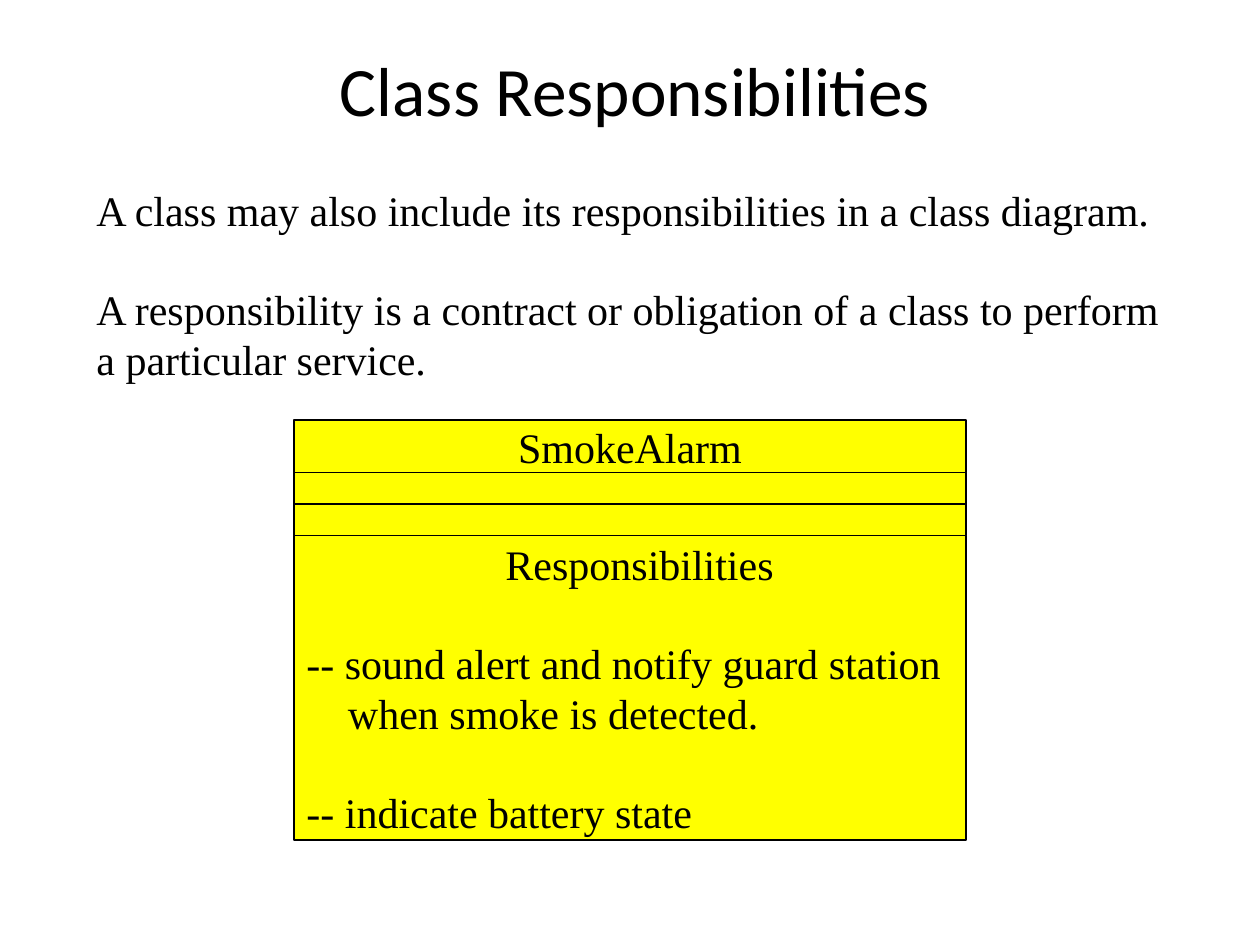
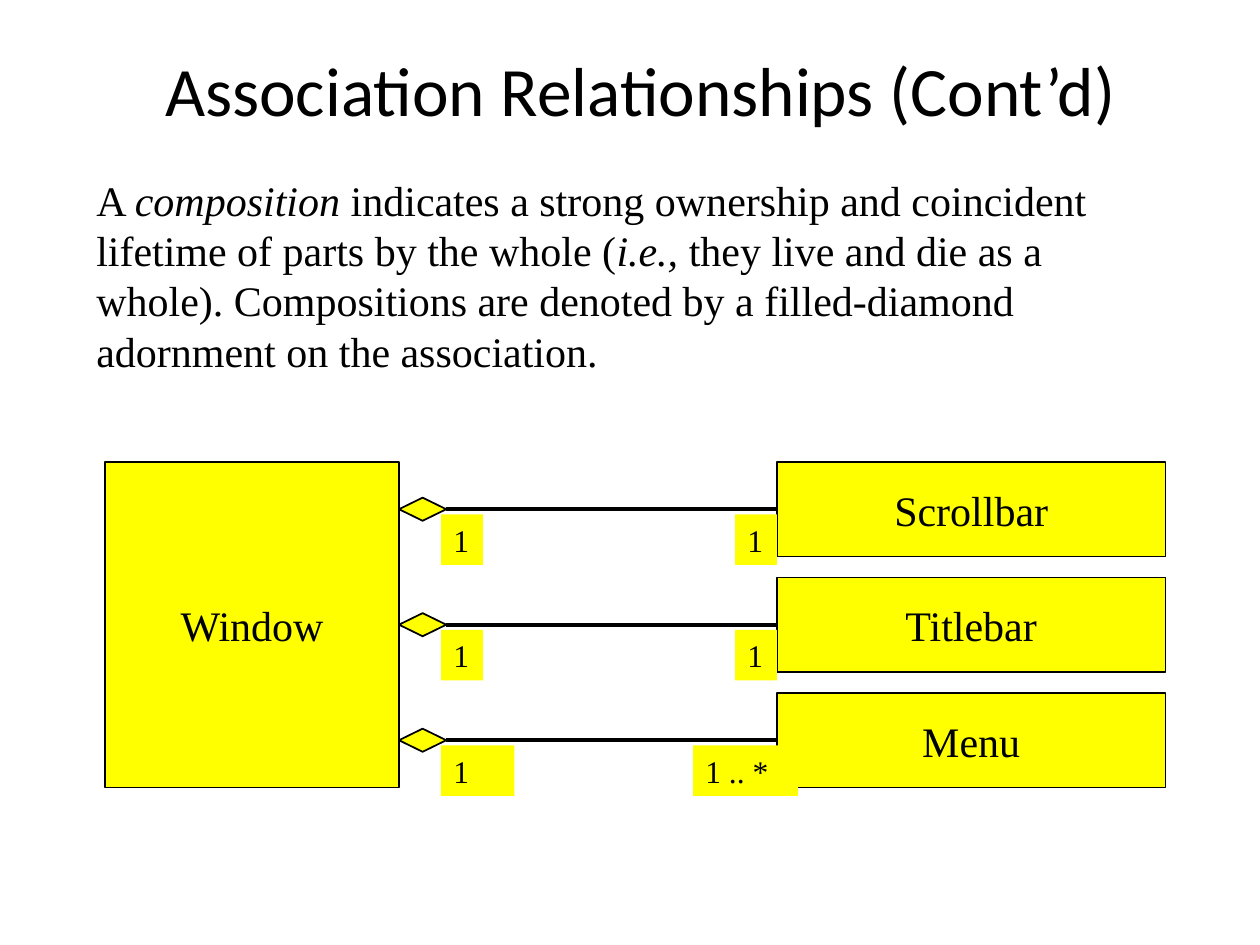
"""Build two class-diagram slides on a grid of twelve cells to the inch."""
from pptx import Presentation
from pptx.dml.color import RGBColor
from pptx.enum.shapes import MSO_CONNECTOR as Connector, MSO_SHAPE as Shape
from pptx.enum.text import MSO_ANCHOR as Anchor, PP_ALIGN as Align
from pptx.util import Inches, Pt
from lxml import etree

CELL = Inches(1) / 12
BLACK, YELLOW, WHITE = "000000", "FFFF00", "FFFFFF"
BODY_FONT, TITLE_FONT = "Times New Roman", "Calibri"
BLANK_LINE = 27.6
DRAWING = "http://schemas.openxmlformats.org/drawingml/2006/main"


def color(hex_string):
    """Turn a hex string into a colour."""
    return RGBColor.from_string(hex_string)


def add_box(slide, place, lines=(), kind=None, outline=0, size=24, font_name=BODY_FONT,
            align=Align.LEFT, anchor=Anchor.TOP):
    """Add text lines of (runs, indent in inches, gap in points), in a yellow shape if kind is given."""
    place = [round(cells * CELL) for cells in place]
    if kind is None:
        shape = slide.shapes.add_textbox(*place)
    else:
        shape = slide.shapes.add_shape(kind, *place)
        shape.shadow.inherit = False
        shape.fill.solid()
        shape.fill.fore_color.rgb = color(YELLOW)
        if outline:
            shape.line.color.rgb = color(BLACK)
            shape.line.width = Pt(outline)
        else:
            shape.line.fill.background()
    frame = shape.text_frame
    frame.word_wrap = True
    frame.vertical_anchor = anchor
    for index, (runs, indent, gap) in enumerate(lines):
        paragraph = frame.add_paragraph() if index else frame.paragraphs[0]
        paragraph.alignment = align
        if gap:
            paragraph.space_before = Pt(gap)
        if indent:
            paragraph._p.get_or_add_pPr().set("marL", str(Inches(indent)))
        for text, italic in runs:
            run = paragraph.add_run()
            run.text = text
            run.font.size = Pt(size)
            run.font.name = font_name
            run.font.italic = italic
            run.font.color.rgb = color(BLACK)
    return shape


presentation = Presentation()
presentation.slide_width, presentation.slide_height = Inches(10), Inches(7.5)
title_style = {"size": 39.6, "font_name": TITLE_FONT, "align": Align.CENTER, "anchor": Anchor.MIDDLE}
class_style = {"kind": Shape.RECTANGLE, "outline": 0.75, "anchor": Anchor.MIDDLE}

slides = []
for title, left, width in [("Class Responsibilities", 9, 103),
                           ("Association Relationships (Cont’d)", 8, 106)]:
    slide = presentation.slides.add_slide(presentation.slide_layouts[6])
    slide.background.fill.solid()
    slide.background.fill.fore_color.rgb = color(WHITE)
    add_box(slide, (left, 5, width, 7), [([(title, False)], 0, 0)], **title_style)
    slides.append(slide)
responsibility_slide, composition_slide = slides

add_box(responsibility_slide, (8, 17, 105, 20.4), [
    ([("A class may also include its responsibilities in a class diagram.", False)], 0, 0),
    ([("A responsibility is a contract or obligation of a class to perform "
       "a particular service.", False)], 0, BLANK_LINE),
])

duties = [
    ([("Responsibilities", False)], 1.58, 0),
    ([("-- sound alert and notify guard station", False)], 0, BLANK_LINE),
    ([("when smoke is detected.", False)], 0.33, 0),
    ([("-- indicate battery state", False)], 0, BLANK_LINE),
]
top = 40
for height, lines, align in [(5, [([("SmokeAlarm", False)], 0, 0)], Align.CENTER),
                             (3, [], Align.LEFT),
                             (3, [], Align.LEFT),
                             (29, duties, Align.LEFT)]:
    add_box(responsibility_slide, (28, top, 64, height), lines, align=align, **class_style)
    top += height

add_box(composition_slide, (8, 16, 103, 20.4), [([
    ("A ", False),
    ("composition ", True),
    ("indicates a strong ownership and coincident lifetime of parts by the whole (", False),
    ("i.e.,", True),
    (" they live and die as a whole). Compositions are denoted by a filled-diamond "
     "adornment on the association.", False),
], 0, 0)])

add_box(composition_slide, (10, 44, 28, 31), [([("Window", False)], 0, 0)],
        align=Align.CENTER, **class_style)

part_height, row_step = 9, 11
parts = [("Scrollbar", ("1", 42, 4), ("1", 70, 4)),
         ("Titlebar", ("1", 42, 4), ("1", 70, 4)),
         ("Menu", ("1", 42, 7), ("1 .. *", 66, 10))]
for row, (name, *multiplicities) in enumerate(parts):
    top = 44 + row * row_step
    middle = top + part_height / 2
    part = add_box(composition_slide, (74, top, 37, part_height), [([(name, False)], 0, 0)],
                   align=Align.CENTER, **class_style)
    diamond = add_box(composition_slide, (38, middle - 1.1, 4.5, 2.2), kind=Shape.DIAMOND, outline=1)
    association = composition_slide.shapes.add_connector(Connector.STRAIGHT, 0, 0, 0, 0)
    association.begin_connect(diamond, 3)
    association.end_connect(part, 1)
    association.line.color.rgb = color(BLACK)
    association.line.width = Pt(2.25)
    etree.SubElement(association._element.spPr, f"{{{DRAWING}}}effectLst")
    for text, left, width in multiplicities:
        add_box(composition_slide, (left, top + 5, width, 4.8), [([(text, False)], 0, 0)],
                kind=Shape.RECTANGLE, size=18)

presentation.save("out.pptx")
